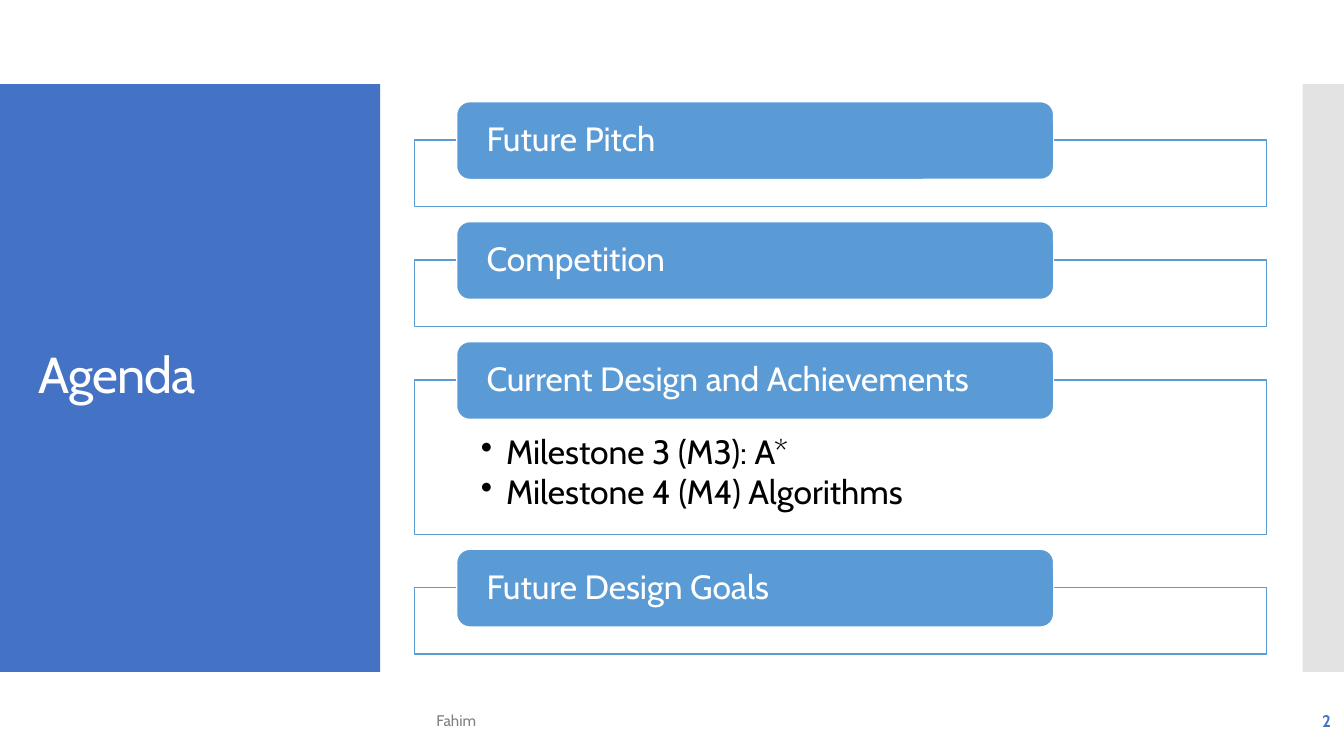
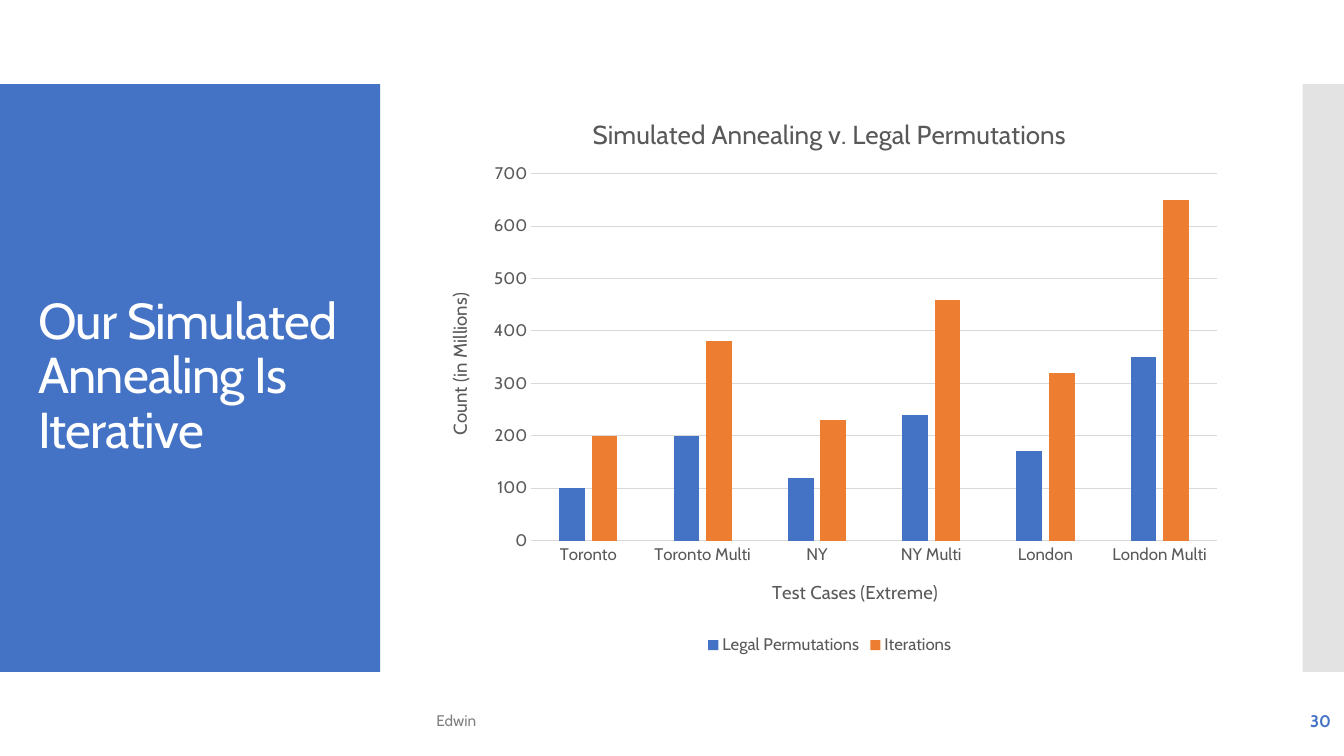
"""Builds an agenda slide and a chart slide that share side bands, title and footer."""
from lxml.etree import SubElement as Sub
from pptx import Presentation
from pptx.chart.data import CategoryChartData as Data
from pptx.dml.color import RGBColor as RGB
from pptx.enum.chart import XL_CHART_TYPE as Kind, XL_LEGEND_POSITION as Side, XL_TICK_MARK as Tick
from pptx.enum.shapes import MSO_SHAPE as Form
from pptx.enum.text import MSO_ANCHOR as Anchor, MSO_AUTO_SIZE as Fit, PP_ALIGN as Align
from pptx.oxml import parse_xml
from pptx.oxml.ns import nsdecls, qn
from pptx.util import Inches as In, Pt

FONT = "Cabin"
HUE = {"blue": "4472C4", "sky": "5B9BD5", "orange": "ED7D31", "white": "FFFFFF",
       "black": "000000", "pale": "E3E3E3", "grey": "808080", "dark": "595959", "rule": "D9D9D9"}
WIDE, HIGH = 13.33, 7.5
TOP, BAND = HIGH / 9, HIGH * 7 / 9

AGENDA = [
    ("Future Pitch", []),
    ("Competition", []),
    ("Current Design and Achievements", ["Milestone 3 (M3): A*", "Milestone 4 (M4) Algorithms"]),
    ("Future Design Goals", []),
]
CASES = ["Toronto", "Toronto Multi", "NY", "NY Multi", "London", "London Multi"]
SERIES = [
    ("Legal Permutations", "blue", (100, 200, 120, 240, 170, 350)),
    ("Iterations", "orange", (200, 380, 230, 460, 320, 650)),
]


def tint(name):
    return RGB.from_string(HUE[name])


def style(font, size, color, bold=False):
    font.name, font.size, font.bold = FONT, Pt(size), bold
    font.color.rgb = tint(color)


def write(frame, lines, size, color, bold=False, align=Align.LEFT, anchor=Anchor.MIDDLE,
          pad=(0.1, 0.05, 0.1, 0.05), lead=0.9, after=0, track=0, dot=False):
    """Fills a text frame with formatted lines."""
    frame.word_wrap, frame.auto_size, frame.vertical_anchor = True, Fit.NONE, anchor
    frame.margin_left, frame.margin_top, frame.margin_right, frame.margin_bottom = map(In, pad)
    for i, line in enumerate(lines):
        para = frame.add_paragraph() if i else frame.paragraphs[0]
        para.alignment, para.line_spacing, para.space_after = align, lead, Pt(after)
        if dot:
            props = para._p.get_or_add_pPr()
            props.set("marL", str(In(0.25)))
            props.set("indent", str(-In(0.25)))
            Sub(props, qn("a:buChar")).set("char", "•")
        run = para.add_run()
        run.text = line
        style(run.font, size, color, bold)
        if track:
            run._r.get_or_add_rPr().set("spc", str(track))


def block(slide, box, fill, line=None, form=Form.RECTANGLE):
    shape = slide.shapes.add_shape(form, *map(In, box))
    shape.shadow.inherit = False
    shape.fill.solid()
    shape.fill.fore_color.rgb = tint(fill)
    if line:
        shape.line.color.rgb, shape.line.width = tint(line), Pt(0.85)
    else:
        shape.line.fill.background()
    return shape


def label(slide, box, text, size, color, **form):
    area = slide.shapes.add_textbox(*map(In, box))
    write(area.text_frame, [text], size, color, lead=1, **form)


def set_up(layout, slide):
    """Moves the side bands to the layout and places its title."""
    bands = [((0, TOP, 3.77, BAND), "blue"), ((12.92, TOP, WIDE - 12.92, BAND), "pale")]
    for box, fill in bands:
        layout.shapes.element.insert(2, block(slide, box, fill).element)
    head = layout.placeholders[0]
    head.left, head.top, head.width, head.height = map(In, (0.28, 1.23, 3.22, 5.03))


def dress(slide, title, name, page):
    write(slide.shapes.title.text_frame, [title], 36, "white", track=-60)
    label(slide, (4.23, 6.95, 6.46, 0.4), name, 11, "grey")
    label(slide, (11.63, 6.95, 1.67, 0.4), page, 12, "blue", bold=True, align=Align.RIGHT)


def agenda(slide):
    top = 1.39
    for head, items in AGENDA:
        tall = 1.53 if items else 0.66
        frame = block(slide, (4.11, top, 8.45, tall), "white", "sky")
        if items:
            write(frame.text_frame, items, 24, "black", anchor=Anchor.TOP,
                  pad=(0.66, 0.55, 0.66, 0.19), after=3, dot=True)
        bar = block(slide, (4.53, top - 0.38, 5.92, 0.77), "sky", "white", Form.ROUNDED_RECTANGLE)
        write(bar.text_frame, [head], 24, "white", pad=(0.26, 0, 0.26, 0))
        top += tall + 0.53


def caption(owner, text, size):
    frame = owner.text_frame
    frame.text = text
    style(frame.paragraphs[0].runs[0].font, size, "dark")
    return frame


def place(chart, **share):
    """Fixes the inner plot area as shares of the chart."""
    area = chart._chartSpace.chart.plotArea
    for old in area.findall(qn("c:layout")):
        area.remove(old)
    parts = "".join(f'<c:{key} val="{val}"/>' for key, val in share.items())
    area.insert(0, parse_xml(
        f'<c:layout {nsdecls("c")}><c:manualLayout><c:layoutTarget val="inner"/>'
        f'<c:xMode val="edge"/><c:yMode val="edge"/>{parts}</c:manualLayout></c:layout>'))


def graph(slide):
    data = Data()
    data.categories = CASES
    for name, _, vals in SERIES:
        data.add_series(name, vals)
    box = map(In, (4.23, 0.94, 8, 5.6))
    chart = slide.shapes.add_chart(Kind.COLUMN_CLUSTERED, *box, data).chart
    style(chart.font, 12, "dark")
    caption(chart.chart_title, "Simulated Annealing v. Legal Permutations", 18.6)
    chart.chart_title.include_in_layout = False
    plot = chart.plots[0]
    plot.gap_width, plot.overlap, plot.vary_by_categories = 219, -27, False
    for bars, (_, color, _) in zip(plot.series, SERIES):
        bars.format.fill.solid()
        bars.format.fill.fore_color.rgb = tint(color)
    cat, val = chart.category_axis, chart.value_axis
    for axis, text in ((cat, "Test Cases (Extreme)"), (val, "Count (in Millions)")):
        axis.major_tick_mark = axis.minor_tick_mark = Tick.NONE
        style(axis.tick_labels.font, 12, "dark")
        frame = caption(axis.axis_title, text, 13.3)
    frame._txBody.bodyPr.set("rot", "-5400000")
    val.minimum_scale, val.maximum_scale, val.major_unit = 0, 700, 100
    val.format.line.fill.background()
    for line in (cat.format.line, val.major_gridlines.format.line):
        line.color.rgb, line.width = tint("rule"), Pt(0.75)
    chart.has_legend = True
    chart.legend.position, chart.legend.include_in_layout = Side.BOTTOM, False
    style(chart.legend.font, 12, "dark")
    place(chart, x=0.13, y=0.14, w=0.85, h=0.65)


PAGES = [
    ("Agenda", "Fahim", "2", agenda),
    ("Our Simulated Annealing Is Iterative", "Edwin", "30", graph),
]


def main():
    deck = Presentation()
    deck.slide_width, deck.slide_height = In(WIDE), In(HIGH)
    layout = deck.slide_layouts[5]
    for i, (title, name, page, draw) in enumerate(PAGES):
        slide = deck.slides.add_slide(layout)
        if i == 0:
            set_up(layout, slide)
        dress(slide, title, name, page)
        draw(slide)
    deck.save("out.pptx")


if __name__ == "__main__":
    main()
